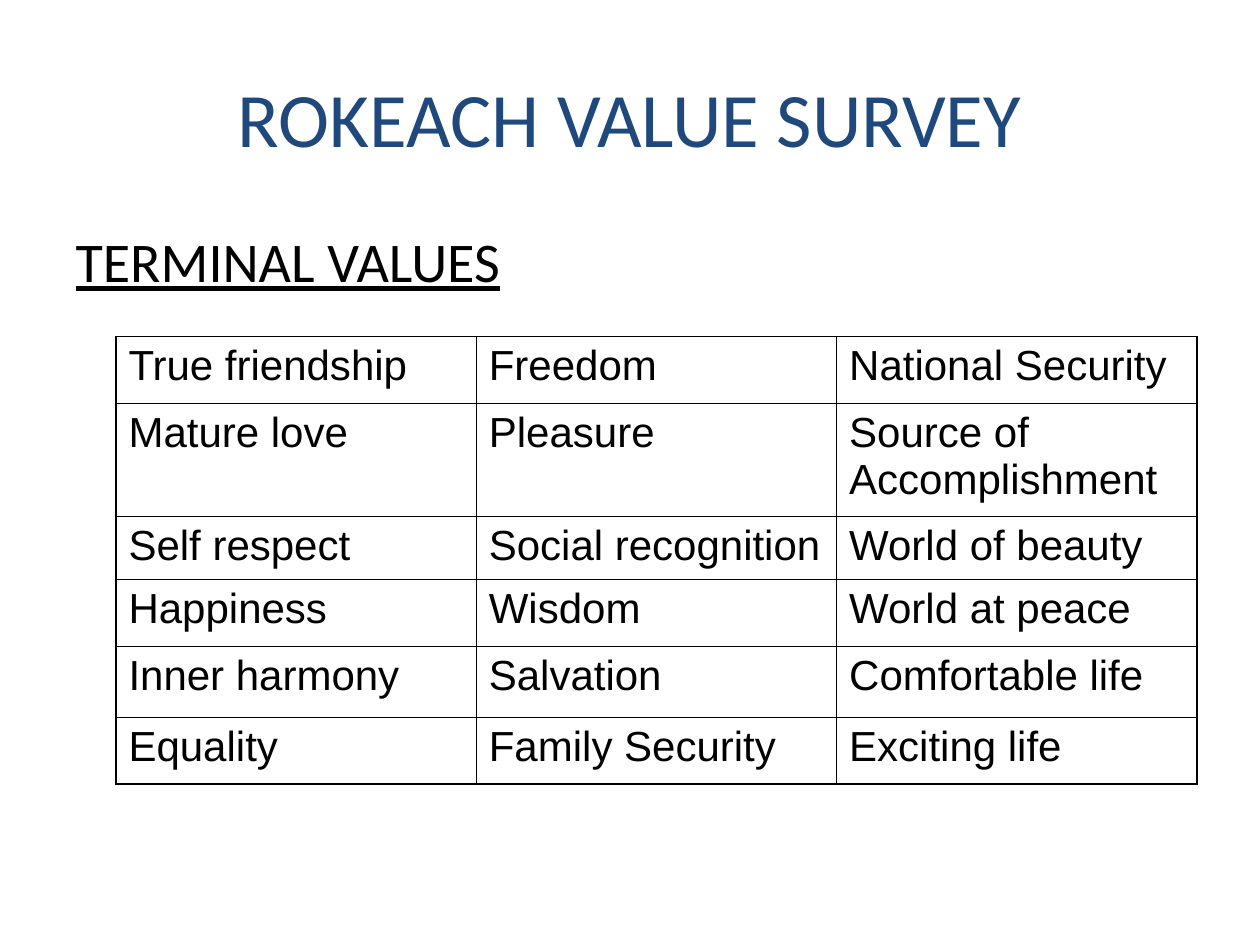
import pptx
import pptx.util
import pptx.dml.color
import pptx.enum.text
from lxml import etree
from pptx.util import Inches
from pptx.oxml.ns import qn

COLORS = {"title": "1F497D", "text": "000000", "border": "000000"}
THICK, THIN = 1.08, 0.45


def write(tf, text, font="Calibri", size=24, color="text", underline=None,
          align=pptx.enum.text.PP_ALIGN.LEFT):
    p = tf.paragraphs[0]
    p.alignment = align
    p.space_before = pptx.util.Pt(0)
    r = p.add_run()
    r.text = text
    r.font.name = font
    r.font.size = pptx.util.Pt(size)
    r.font.underline = underline
    r.font.color.rgb = pptx.dml.color.RGBColor.from_string(COLORS[color])
    return p


def add_border(cell, side, width):
    ln = etree.SubElement(cell._tc.get_or_add_tcPr(), qn("a:ln" + side),
                          w=str(pptx.util.Pt(width)))
    fill = etree.SubElement(ln, qn("a:solidFill"))
    etree.SubElement(fill, qn("a:srgbClr"), val=COLORS["border"])


prs = pptx.Presentation()
prs.slide_width, prs.slide_height = Inches(10), Inches(7.5)
s = prs.slides.add_slide(prs.slide_layouts[1])

# Title
title = s.shapes.title
title.left, title.top = Inches(0.5), Inches(0.3)
title.width, title.height = Inches(9), Inches(1.25)
title.text_frame.vertical_anchor = pptx.enum.text.MSO_ANCHOR.MIDDLE
write(title.text_frame, "ROKEACH VALUE SURVEY", size=44, color="title",
      align=pptx.enum.text.PP_ALIGN.CENTER)

# Subheading
body = s.placeholders[1]
body.left, body.top = Inches(0.5), Inches(1.75)
body.width, body.height = Inches(4.42), Inches(0.67)
p = write(body.text_frame, "TERMINAL VALUES", size=32, underline=True)
pPr = p._p.get_or_add_pPr()
pPr.set("marL", str(Inches(0.38)))
pPr.set("indent", str(Inches(-0.38)))
etree.SubElement(pPr, qn("a:buNone"))

# Table of terminal values
values = [
    ("True friendship", "Freedom", "National Security"),
    ("Mature love", "Pleasure", "Source of Accomplishment"),
    ("Self respect", "Social recognition", "World of beauty"),
    ("Happiness", "Wisdom", "World at peace"),
    ("Inner harmony", "Salvation", "Comfortable life"),
    ("Equality", "Family Security", "Exciting life"),
]
row_heights = [0.53, 0.9, 0.5, 0.53, 0.56, 0.53]
n_rows, n_cols = len(values), len(values[0])
table = s.shapes.add_table(n_rows, n_cols, Inches(0.92), Inches(2.67),
                           Inches(8.58), Inches(sum(row_heights))).table
table.first_row = table.horz_banding = False
for col in table.columns:
    col.width = Inches(2.86)

for i, row in enumerate(values):
    table.rows[i].height = Inches(row_heights[i])
    for j, text in enumerate(row):
        cell = table.cell(i, j)
        write(cell.text_frame, text, font="Arial")
        # Outer edges are thick, inner edges thin
        outer = {"L": j == 0, "R": j == n_cols - 1,
                 "T": i == 0, "B": i == n_rows - 1}
        for side, is_outer in outer.items():
            add_border(cell, side, THICK if is_outer else THIN)
        cell.fill.background()

prs.save("out.pptx")
